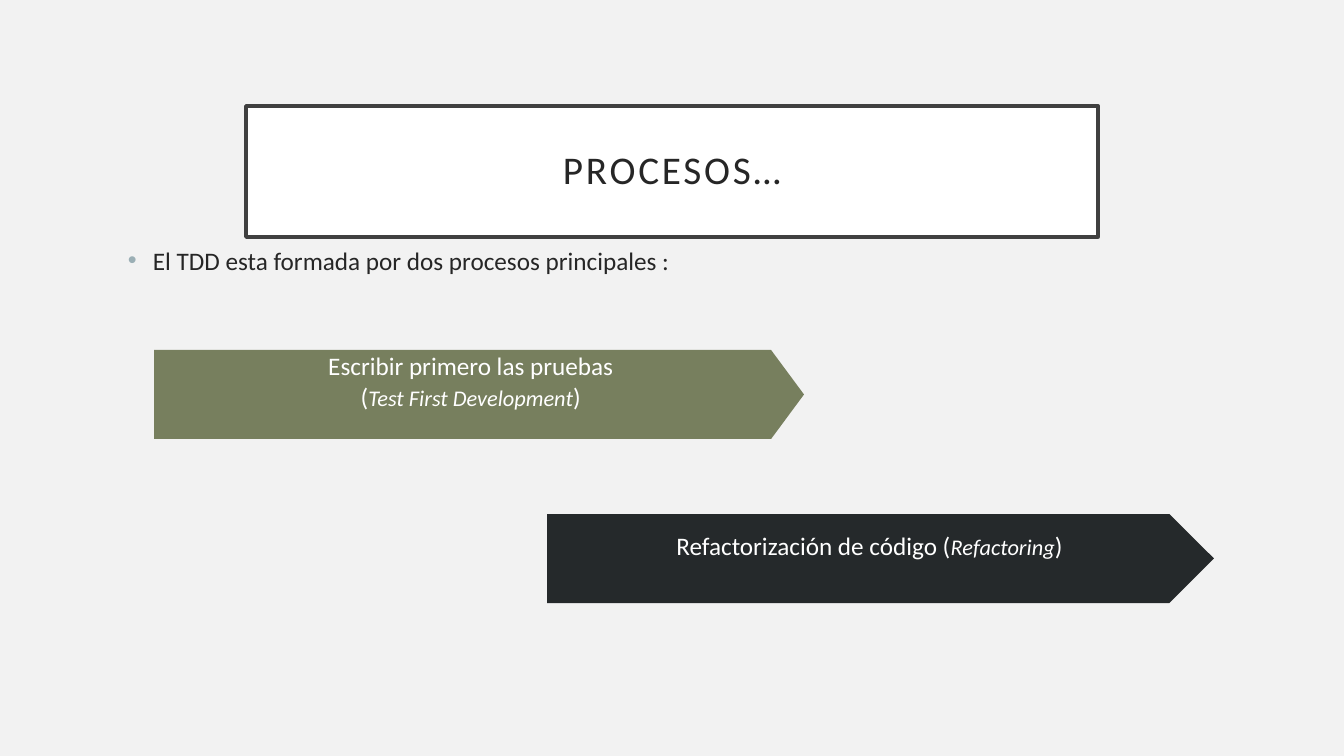
from lxml.etree import SubElement
from pptx import Presentation
from pptx.dml.color import RGBColor
from pptx.enum.shapes import MSO_SHAPE as SHAPE
from pptx.enum.text import MSO_ANCHOR as ANCHOR, PP_ALIGN as ALIGN
from pptx.oxml.ns import qn
from pptx.util import Emu, Pt

PX = 914400 / 100.8
INK, WHITE = "262626", "FFFFFF"


def px(n):
    return Emu(round(n * PX))


def rgb(value):
    return RGBColor.from_string(value)


def add_run(p, text, size=18, color=WHITE, italic=False, spacing=None):
    r = p.add_run()
    r.text = text
    r.font.name = "Calibri"
    r.font.size = Pt(size)
    r.font.italic = italic
    r.font.color.rgb = rgb(color)
    if spacing:
        r.font._element.set("spc", str(spacing * 100))


def set_insets(tf, left, top, right, bottom):
    tf.margin_left, tf.margin_top = px(left), px(top)
    tf.margin_right, tf.margin_bottom = px(right), px(bottom)


def add_box(s, kind, box, fill, line=None):
    sp = s.shapes.add_shape(kind, *map(px, box))
    sp.shadow.inherit = False
    sp.fill.solid()
    sp.fill.fore_color.rgb = rgb(fill)
    if line:
        sp.line.color.rgb = rgb(line)
        sp.line.width = Pt(2.5)
    else:
        sp.line.fill.background()
    sp.text_frame.word_wrap = True
    sp.text_frame.vertical_anchor = ANCHOR.MIDDLE
    return sp


def add_title(s, text):
    tf = add_box(s, SHAPE.RECTANGLE, (246, 106, 852, 131), WHITE, "404040").text_frame
    set_insets(tf, 20, 20, 20, 20)
    p = tf.paragraphs[0]
    p.alignment = ALIGN.CENTER
    p.line_spacing = 0.9
    add_run(p, text, size=28, color=INK, spacing=2)


def add_bullet(s, text):
    tf = s.shapes.add_textbox(*map(px, (118, 240, 1109, 447))).text_frame
    tf.word_wrap = True
    p = tf.paragraphs[0]
    p.space_before = Pt(10)
    add_run(p, text, color=INK)
    ppr = p._p.get_or_add_pPr()
    ppr.set("marL", str(px(25)))
    ppr.set("indent", str(-px(25)))
    color = SubElement(ppr, qn("a:buClr"))
    SubElement(color, qn("a:srgbClr"), val="9BAFB5")
    SubElement(ppr, qn("a:buFont"), typeface="Arial")
    SubElement(ppr, qn("a:buChar"), char="•")


def add_process(s, box, fill, lines, point=0.5, first_indent=0):
    """Draw an arrow box; each line is a list of (text, italic) pieces."""
    sp = add_box(s, SHAPE.PENTAGON, box, fill)
    sp.adjustments[0] = point
    tf = sp.text_frame
    set_insets(tf, 10, 0, 10, 27)
    for i, pieces in enumerate(lines):
        p = tf.add_paragraph() if i else tf.paragraphs[0]
        p.alignment = ALIGN.CENTER
        if first_indent and i == 0:
            p._p.get_or_add_pPr().set("indent", str(px(first_indent)))
        for text, italic in pieces:
            add_run(p, text, size=16 if italic else 18, italic=italic)


def main():
    prs = Presentation()
    prs.slide_width, prs.slide_height = px(1344), px(756)
    s = prs.slides.add_slide(prs.slide_layouts[6])
    s.background.fill.solid()
    s.background.fill.fore_color.rgb = rgb("F2F2F2")
    add_title(s, "PROCESOS…")
    add_bullet(s, "El TDD esta formada por dos procesos principales :")
    add_process(s, (154, 350, 650, 89), "777F5E", [
        [("Escribir primero las pruebas", False)],
        [("(", False), ("Test First Development", True), (")", False)],
    ], point=0.37, first_indent=-18)
    add_process(s, (547, 514, 667, 89), "25292B", [
        [("Refactorización de código (", False), ("Refactoring", True), (")", False)],
    ])
    prs.save("out.pptx")


if __name__ == "__main__":
    main()
